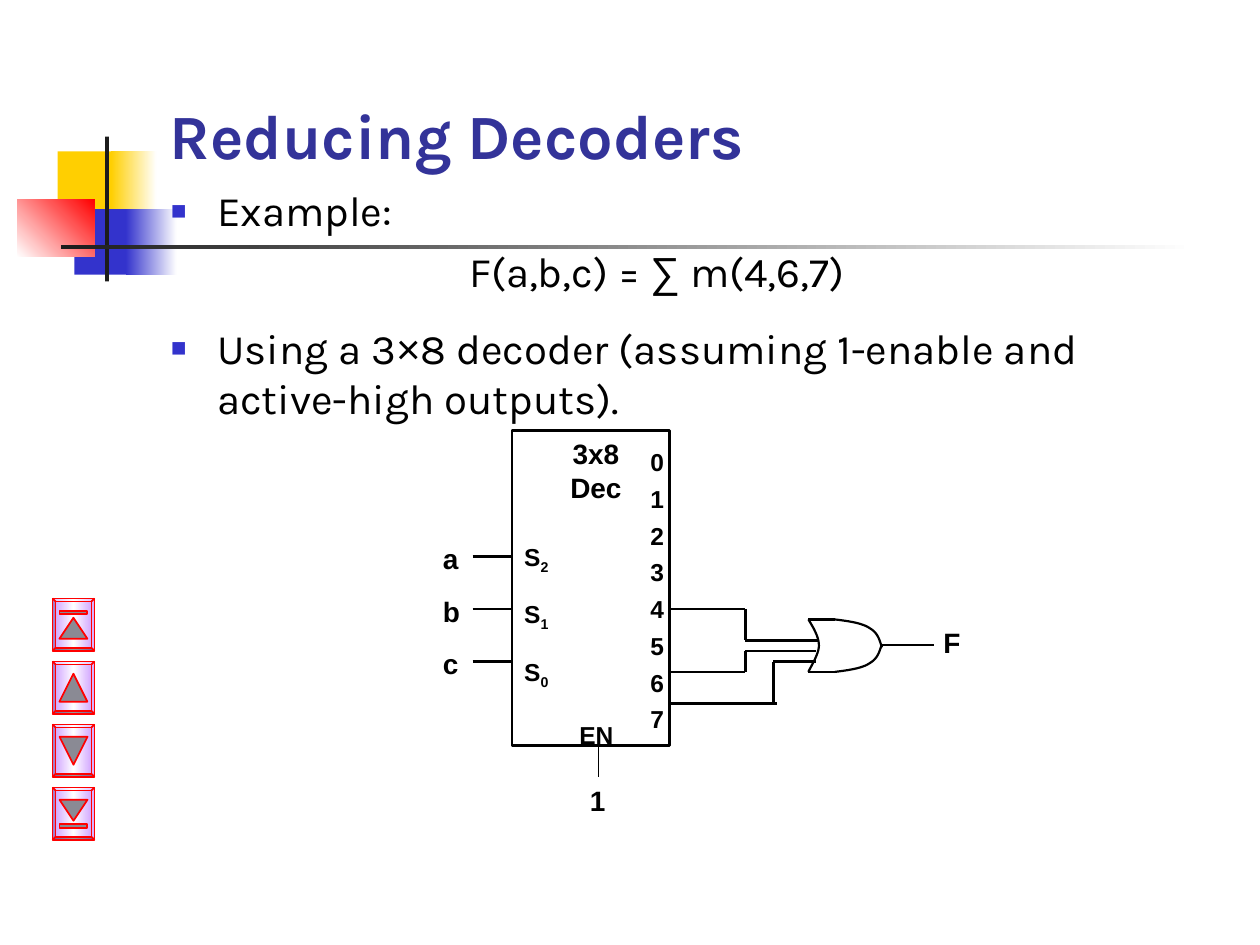
from copy import deepcopy

from lxml.etree import SubElement
from pptx import Presentation
from pptx.dml.color import RGBColor
from pptx.enum.shapes import MSO_CONNECTOR, MSO_SHAPE as SHAPE
from pptx.enum.text import MSO_ANCHOR, PP_ALIGN
from pptx.oxml.ns import qn
from pptx.util import Pt

COLORS = {
    "black": "000000", "ink": "1C1C1C", "white": "FFFFFF", "title": "333399",
    "blue": "3333CC", "yellow": "FFCF01", "red": "FF0000",
    "lilac": "CC99FF", "gray": "8A8A94",
}

prs = Presentation()
prs.slide_width, prs.slide_height = Pt(720), Pt(540)
slide = prs.slides.add_slide(prs.slide_layouts[6])
shapes = slide.shapes


def add_block(kind, box, fills=(), angle=0, line=None, width=1):
    """Add a preset shape: no, one or several (gradient) fill colours."""
    block = shapes.add_shape(kind, *[Pt(v) for v in box])
    block.shadow.inherit = False
    if not fills:
        block.fill.background()
    elif len(fills) == 1:
        block.fill.solid()
        block.fill.fore_color.rgb = RGBColor.from_string(COLORS[fills[0]])
    else:
        block.fill.gradient()
        block.fill.gradient_angle = angle
        stop_list = block._element.spPr.find(".//" + qn("a:gsLst"))
        for _ in fills[2:]:
            stop_list.append(deepcopy(stop_list[-1]))
        for i, (stop, name) in enumerate(zip(block.fill.gradient_stops, fills)):
            stop.position = i / (len(fills) - 1)
            stop.color.rgb = RGBColor.from_string(COLORS[name])
    if line:
        block.line.color.rgb = RGBColor.from_string(COLORS[line])
        block.line.width = Pt(width)
    else:
        block.line.fill.background()
    return block


def add_text(box, lines, size, font="Arial", bold=True, color="black", gap=0,
             align=PP_ALIGN.LEFT, anchor=MSO_ANCHOR.TOP):
    """Add a text box; each line is a list of (text, font or None, baseline)."""
    frame = shapes.add_textbox(*[Pt(v) for v in box]).text_frame
    frame.word_wrap = True
    frame.vertical_anchor = anchor
    for i, pieces in enumerate(lines):
        para = frame.paragraphs[0] if i == 0 else frame.add_paragraph()
        para.alignment = align
        if i:
            para.space_before = Pt(gap)
        para.font.size, para.font.bold = Pt(size), bold
        para.font.color.rgb = RGBColor.from_string(COLORS[color])
        for text, own_font, baseline in pieces:
            run = para.add_run()
            run.text = text
            run.font.name = own_font or font
            if baseline:
                run.font._element.set("baseline", str(baseline))
    return frame


# Corner decoration
for box, fills, angle in [
    ((33, 86.5, 34.5, 37.5), ["yellow"], 0),
    ((63.5, 86.5, 26, 37.5), ["yellow", "white"], 0),
    ((42.5, 119.5, 33, 37.5), ["blue"], 0),
    ((72, 119.5, 29, 37.5), ["blue", "white"], 0),
    ((10, 113.8, 44, 33), ["white", "red"], 45),
    ((60, 78, 2.3, 82.8), ["ink"], 0),
    ((34.6, 140, 648, 2.5), ["ink", "white"], 0),
]:
    add_block(SHAPE.RECTANGLE, box, fills, angle)

# Title
add_text((90, 12, 612, 90), [[("Reducing Decoders", None, 0)]], 36,
         font="Karla", color="title", anchor=MSO_ANCHOR.BOTTOM)

# Navigation buttons: arrow top, arrow height, arrow turn, bar top
for row, (arrow_top, arrow_height, turn, bar_top) in enumerate([
    (11, 12, 0, 7), (7, 16, 0, None), (7, 16, 180, None), (7, 12, 180, 21),
]):
    top = 342 + 36 * row
    button = add_block(SHAPE.BEVEL, (27, top + 3, 30, 24),
                       ["lilac", "white", "lilac"], 90, "red")
    button.adjustments[0] = 0.07
    button.rotation = 90
    arrow = add_block(SHAPE.ISOSCELES_TRIANGLE, (34, top + arrow_top, 16, arrow_height),
                      ["gray"], line="red")
    arrow.rotation = turn
    if bar_top:
        add_block(SHAPE.RECTANGLE, (34, top + bar_top, 16, 2), ["gray"], line="red")

# Body text
body = add_text((90, 102, 606, 150), [
    [("Example:", None, 0)],
    [("F(a,b,c) = ", None, 0), ("∑", "Arial", 0), (" m(4,6,7)", None, 0)],
    [("Using a 3", None, 0), ("×", "Arial", 0),
     ("8 decoder (assuming 1-enable and active-high outputs).", None, 0)],
], 24, font="Karla", bold=False, gap=6)
example, formula, usage = body.paragraphs
usage.space_before = Pt(15)
formula._p.get_or_add_pPr().set("marL", str(Pt(171)))
for para in (example, usage):
    props = para._p.get_or_add_pPr()
    props.set("marL", str(Pt(27)))
    props.set("indent", str(-Pt(27)))
    bullet_color = SubElement(props, qn("a:buClr"))
    SubElement(bullet_color, qn("a:srgbClr")).set("val", COLORS["blue"])
    SubElement(props, qn("a:buSzPct")).set("val", "120000")
    SubElement(props, qn("a:buFont")).set("typeface", "Arial")
    SubElement(props, qn("a:buChar")).set("char", "▪")
    props.append(props.find(qn("a:defRPr")))  # schema order: after the bullet

# Decoder box and its labels
add_block(SHAPE.RECTANGLE, (292.5, 246, 90, 180), line="black", width=1.5)
add_text((310.5, 246, 60, 46), [[("3x8", None, 0)], [("Dec", None, 0)]], 16,
         align=PP_ALIGN.CENTER)
add_text((292.5, 306, 36, 94),
         [[("S", None, 0), (digit, None, -25000)] for digit in "210"], 14, gap=13.8)
add_text((364.5, 252, 24, 166), [[(digit, None, 0)] for digit in "01234567"], 14,
         gap=4.2)
add_text((324, 408, 36, 24), [[("EN", None, 0)]], 14)
for name, left, top in [("a", 246, 306), ("b", 246, 336), ("c", 246, 366),
                        ("F", 532, 354), ("1", 330, 444)]:
    add_text((left, top, 24, 26), [[(name, None, 0)]], 16)

# Wires: x1, y1, x2, y2, width
wires = [(270, y, 292.5, y, 1.25) for y in (318, 348, 378)]
wires += [
    (382.5, 348, 426, 348, 1.25), (426, 348, 426, 366, 1.25), (426, 366, 468, 366, 1.25),
    (382.5, 384, 426, 384, 1.25), (426, 372, 426, 384, 1.25), (426, 372, 466.5, 372, 1.25),
    (382.5, 402, 444, 402, 1.25), (442, 378, 442, 402, 1.25), (442, 378, 466.5, 378, 1.25),
    (462, 354, 477, 354, 1.25), (462, 384, 477, 384, 1.25),
    (504, 368.5, 534, 368.5, 1.25), (342, 426, 342, 444, 0.75),
]
for *ends, width in wires:
    wire = shapes.add_connector(MSO_CONNECTOR.STRAIGHT, *[Pt(v) for v in ends])
    wire.line.color.rgb = RGBColor.from_string(COLORS["black"])
    wire.line.width = Pt(width)
    SubElement(wire._element.spPr, qn("a:effectLst"))

# OR gate curves: chains of cubic Bezier segments drawn as short steps
STEPS = 12
for points in [
    [(462, 354), (465, 359), (468, 364), (468, 369), (468, 374), (463, 381.5), (462, 384)],
    [(477, 354), (485, 355), (492.5, 356), (497, 359), (502, 362), (502.5, 366), (504, 370)],
    [(477, 384), (485, 383), (492.5, 382), (497, 379), (502, 376), (502.5, 372), (504, 368)],
]:
    curve = []
    for start in (0, 3):
        segment = points[start:start + 4]
        for step in range(1, STEPS + 1):
            t = step / STEPS
            weights = ((1 - t) ** 3, 3 * t * (1 - t) ** 2, 3 * t ** 2 * (1 - t), t ** 3)
            curve.append(tuple(Pt(sum(w * p[axis] for w, p in zip(weights, segment)))
                               for axis in (0, 1)))
    builder = shapes.build_freeform(Pt(points[0][0]), Pt(points[0][1]))
    builder.add_line_segments(curve, close=False)
    edge = builder.convert_to_shape()
    edge.shadow.inherit = False
    edge.fill.background()
    edge.line.color.rgb = RGBColor.from_string(COLORS["black"])
    edge.line.width = Pt(1.25)

prs.save("out.pptx")
